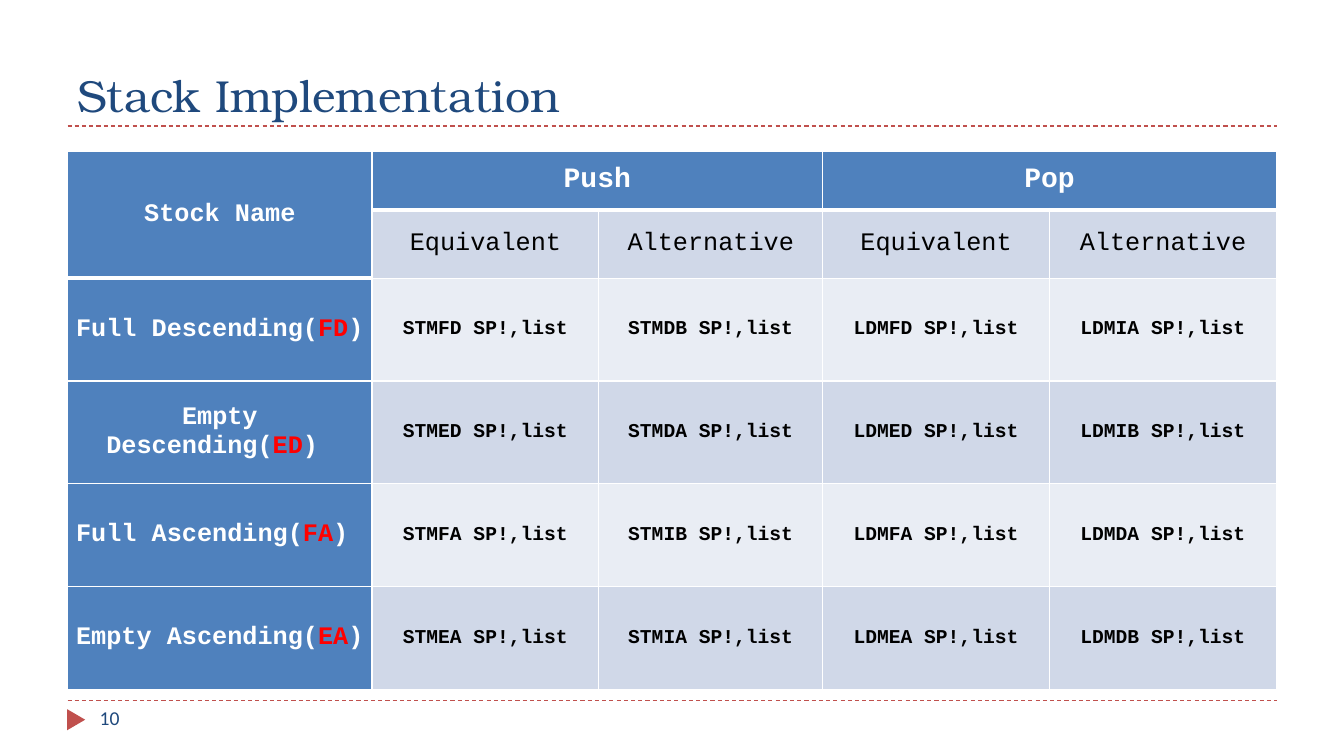
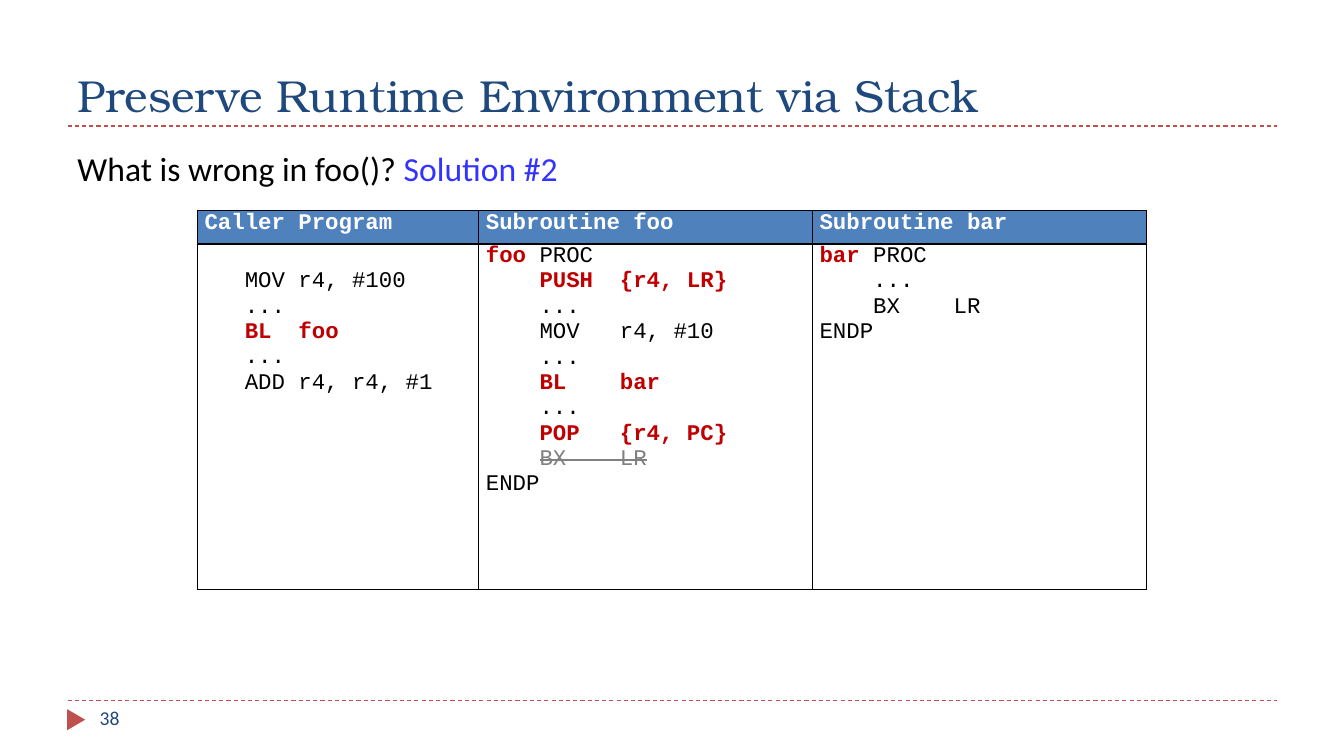
from dataclasses import dataclass

from lxml.etree import SubElement
from pptx import Presentation
from pptx.dml.color import RGBColor
from pptx.enum.dml import MSO_LINE_DASH_STYLE as Dash
from pptx.enum.shapes import MSO_CONNECTOR as Connector, MSO_SHAPE as Shape
from pptx.enum.text import MSO_ANCHOR as Anchor, PP_ALIGN as Align
from pptx.oxml.ns import qn
from pptx.util import Inches, Pt


@dataclass(frozen=True)
class Theme:
    white: str = "FFFFFF"
    black: str = "000000"
    navy: str = "1F497D"
    blue: str = "4F81BD"
    brick: str = "C0504D"
    band_dark: str = "D0D8E8"
    band_light: str = "E9EDF4"
    red: str = "FF0000"
    code_red: str = "C00000"
    gray: str = "808080"
    answer: str = "3333FF"
    title_font: str = "TeX Gyre Bonum"
    body_font: str = "Calibri"
    code_font: str = "Courier New"
    title_size: int = 32
    question_size: int = 24
    group_size: int = 20
    label_size: int = 18
    code_size: int = 16
    small_size: int = 14


THEME = Theme()


@dataclass(frozen=True)
class Style:
    font: str
    size: int
    color: str
    bold: bool = False
    align: Align = Align.LEFT


@dataclass(frozen=True)
class Mark:
    text: str
    color: str
    bold: bool = False
    strike: bool = False


class SlideBuilder:
    left, width = 0.67, 12

    def __init__(self, deck):
        self.deck = deck
        self.page = None

    def open_page(self, title, number):
        self.page = self.deck.slides.add_slide(self.deck.slide_layouts[6])
        for top in (6.95, 1.25):
            self.rule(top)
        self.marker()
        self.text((self.left, 0.17, self.width, 1.08), [title],
                  Style(THEME.title_font, THEME.title_size, THEME.navy), Anchor.BOTTOM)
        self.text((0.89, 6.95, 2.89, 0.4), [str(number)],
                  Style(THEME.body_font, THEME.small_size, THEME.navy))

    def rule(self, top):
        line = self.page.shapes.add_connector(
            Connector.STRAIGHT, Inches(self.left), Inches(top),
            Inches(self.left + self.width), Inches(top))
        line.line.color.rgb = RGBColor.from_string(THEME.brick)
        line.line.width = Pt(0.75)
        line.line.dash_style = Dash.DASH
        SubElement(line._element.spPr, qn("a:effectLst"))

    def marker(self):
        triangle = self.page.shapes.add_shape(
            Shape.ISOSCELES_TRIANGLE, Inches(0.65), Inches(7.05), Inches(0.21), Inches(0.18))
        triangle.rotation = 90
        triangle.shadow.inherit = False
        triangle.fill.solid()
        triangle.fill.fore_color.rgb = RGBColor.from_string(THEME.brick)
        triangle.line.fill.background()

    def text(self, place, pieces, style, anchor=Anchor.TOP, wrap=True):
        box = self.page.shapes.add_textbox(*map(Inches, place))
        frame = box.text_frame
        frame.word_wrap = wrap
        frame.vertical_anchor = anchor
        self.paragraph(frame.paragraphs[0], pieces, style)

    def paragraph(self, para, pieces, style):
        para.alignment = style.align
        para.font.name = style.font
        para.font.size = Pt(style.size)
        para.font.bold = style.bold
        para.font.color.rgb = RGBColor.from_string(style.color)
        for piece in pieces:
            span = para.add_run()
            if isinstance(piece, Mark):
                span.text = piece.text
                span.font.color.rgb = RGBColor.from_string(piece.color)
                span.font.bold = piece.bold
                if piece.strike:
                    span.font._element.set("strike", "sngStrike")
            else:
                span.text = piece

    def table(self, place, widths, heights):
        frame = self.page.shapes.add_table(len(heights), len(widths), *map(Inches, place))
        grid = frame.table
        grid.first_row = grid.horz_banding = False
        for column, width in zip(grid.columns, widths):
            column.width = Inches(width)
        for row, height in zip(grid.rows, heights):
            row.height = Inches(height)
        return grid

    def cell(self, cell, lines, style, fill=None, anchor=Anchor.TOP,
             edge=THEME.white, top=1, bottom=1, inset=0):
        cell.margin_left = cell.margin_right = Inches(0.07)
        cell.margin_top, cell.margin_bottom = Inches(inset), 0
        cell.vertical_anchor = anchor
        self.borders(cell, edge, top, bottom)
        if fill:
            cell.fill.solid()
            cell.fill.fore_color.rgb = RGBColor.from_string(fill)
        else:
            cell.fill.background()
        frame = cell.text_frame
        for index, pieces in enumerate(lines):
            para = frame.add_paragraph() if index else frame.paragraphs[0]
            self.paragraph(para, pieces, style)

    def borders(self, cell, color, top, bottom):
        properties = cell._tc.get_or_add_tcPr()
        for side, width in (("L", 1), ("R", 1), ("T", top), ("B", bottom)):
            line = SubElement(properties, qn(f"a:ln{side}"), w=str(Pt(width)))
            SubElement(SubElement(line, qn("a:solidFill")), qn("a:srgbClr"), val=color)


def stack_implementation(builder):
    builder.open_page("Stack Implementation", 10)
    grid = builder.table((0.67, 1.5, 12, 5.33), [3.02, 2.25, 2.22, 2.25, 2.25],
                         [0.58, 0.68] + [1.02] * 4)
    centered = {"font": THEME.code_font, "align": Align.CENTER}
    name = Style(size=THEME.label_size, color=THEME.white, bold=True, **centered)
    group = Style(size=THEME.group_size, color=THEME.white, bold=True, **centered)
    kind = Style(size=THEME.label_size, color=THEME.black, **centered)
    command = Style(size=THEME.small_size, color=THEME.black, bold=True, **centered)

    grid.cell(0, 0).merge(grid.cell(1, 0))
    for column in (1, 3):
        grid.cell(0, column).merge(grid.cell(0, column + 1))

    def put(row, column, pieces, style, fill, **edges):
        builder.cell(grid.cell(row, column), [pieces] if pieces else [],
                     style, fill, Anchor.MIDDLE, **edges)

    put(0, 0, ["Stock Name"], name, THEME.blue, bottom=3)
    put(1, 0, [], name, THEME.blue, bottom=3)
    for column, heading in enumerate(["Push", "", "Pop", ""], 1):
        put(0, column, [heading] if heading else [], group, THEME.blue, bottom=3)
    for column, heading in enumerate(["Equivalent", "Alternative"] * 2, 1):
        put(1, column, [heading], kind, THEME.band_dark, top=3)

    stacks = [
        ("Full Descending", "FD", "DB", "IA"),
        ("Empty Descending", "ED", "DA", "IB"),
        ("Full Ascending", "FA", "IB", "DA"),
        ("Empty Ascending", "EA", "IA", "DB"),
    ]
    for row, (label, code, push, pop) in enumerate(stacks, 2):
        put(row, 0, [f"{label}(", Mark(code, THEME.red, True), ") "], name, THEME.blue,
            top=3 if row == 2 else 1)
        fill = THEME.band_dark if row % 2 else THEME.band_light
        commands = [f"STM{code}", f"STM{push}", f"LDM{code}", f"LDM{pop}"]
        for column, mnemonic in enumerate(commands, 1):
            put(row, column, [f"{mnemonic} SP!,list"], command, fill)


def preserve_environment(builder):
    builder.open_page("Preserve Runtime Environment via Stack", 38)
    grid = builder.table((1.96, 2.09, 9.41, 3.76), [2.79, 3.31, 3.31], [0.33, 3.43])
    heading = Style(THEME.code_font, THEME.code_size, THEME.white, True)
    code = Style(THEME.code_font, THEME.code_size, THEME.black)

    def key(text):
        return Mark(text, THEME.code_red, True)

    caller = [
        ["   MOV r4, #100"],
        ["   ..."],
        ["   ", key("BL  foo")],
        ["   ..."],
        ["   ADD r4, r4, #1"],
    ]
    foo = [
        [key("foo "), "PROC"],
        ["    ", key("PUSH  {r4, LR}")],
        ["    ..."],
        ["    MOV   r4, #10"],
        ["    ..."],
        ["    ", key("BL    bar")],
        ["    ..."],
        ["    ", key("POP   {r4, PC}")],
        ["    ", Mark("BX    LR", THEME.gray, strike=True)],
        ["ENDP"],
    ]
    bar = [
        [key("bar"), " PROC"],
        ["    ..."],
        ["    BX    LR"],
        ["ENDP"],
    ]
    programs = [("Caller Program", caller, 0.25), ("Subroutine foo", foo, 0),
                ("Subroutine bar", bar, 0)]
    for column, (title, lines, inset) in enumerate(programs):
        builder.cell(grid.cell(0, column), [[title]], heading, THEME.blue, edge=THEME.black)
        builder.cell(grid.cell(1, column), lines, code, edge=THEME.black, inset=inset)

    builder.text((0.67, 1.42, 5.39, 0.5),
                 ["What is wrong in foo()? ", Mark("Solution #2", THEME.answer)],
                 Style(THEME.body_font, THEME.question_size, THEME.black), wrap=False)


def main():
    deck = Presentation()
    deck.slide_width, deck.slide_height = Inches(13.33), Inches(7.5)
    builder = SlideBuilder(deck)
    stack_implementation(builder)
    preserve_environment(builder)
    deck.save("out.pptx")


if __name__ == "__main__":
    main()
